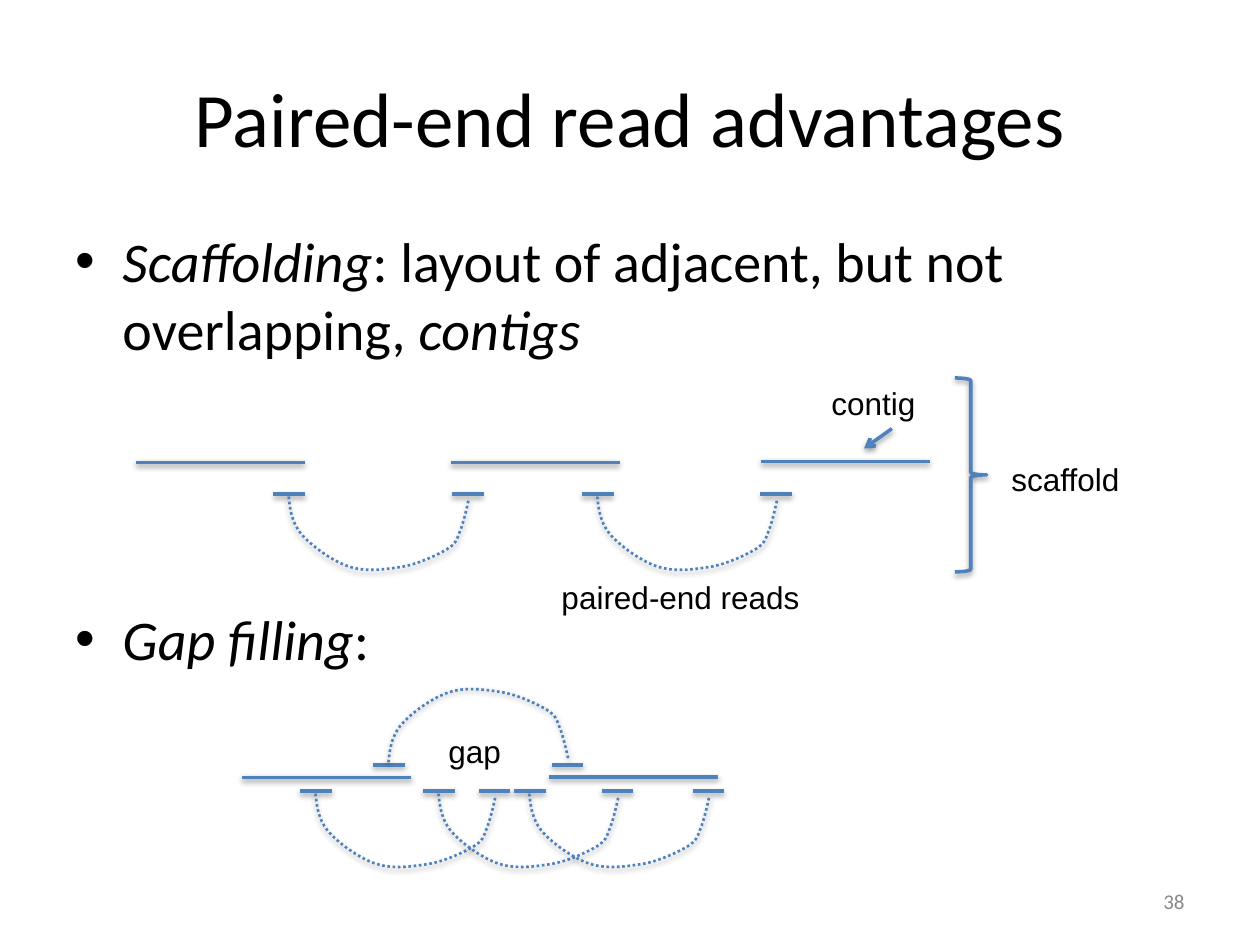
from lxml import etree
from pptx import Presentation, util as u
from pptx.dml.color import RGBColor
from pptx.enum import dml, shapes, text
from pptx.oxml import parse_xml
from pptx.oxml.ns import nsdecls, qn

BLUE = RGBColor(0x4F, 0x81, 0xBD)
BLACK = RGBColor(0, 0, 0)
GRAY = RGBColor(0x89, 0x89, 0x89)

SHADE = f"""<a:effectLst {nsdecls('a')}>
<a:outerShdw blurRad="40000" dist="20000" dir="5400000" rotWithShape="0">
<a:srgbClr val="000000"><a:alpha val="38000"/></a:srgbClr>
</a:outerShdw></a:effectLst>"""

CONTIGS = [(2.74, 9.32), (9.09, 9.32), (15.34, 9.3), (4.88, 15.67), (11.07, 15.66)]
PAIRS = [(5.51, 9.96), (11.73, 9.96), (6.05, 15.95), (8.53, 15.95), (10.36, 15.95)]
CURVE = [(0, 0), (0.03, 0.25), (0.05, 0.5), (0.25, 0.75), (0.46, 1),
         (0.91, 1.32), (1.24, 1.42), (1.57, 1.52), (1.93, 1.47), (2.26, 1.42),
         (2.59, 1.37), (2.97, 1.19), (3.18, 1.07), (3.38, 0.94), (3.38, 0.89),
         (3.45, 0.71), (3.53, 0.53), (3.63, 0.05), (3.63, 0.05)]
LABELS = [("contig", 16.51, 7.62, 2.24), ("paired-end reads", 11.07, 11.53, 5.36),
          ("scaffold", 20.14, 9.14, 2.72), ("gap", 8.79, 14.63, 1.57)]


def apply(obj, **form):
    for key, val in form.items():
        setattr(obj, key, val)


def ink(shape, width=2, **form):
    shape.line.color.rgb = BLUE
    apply(shape.line, width=u.Pt(width), **form)
    shape._element.spPr.append(parse_xml(SHADE))


def line(slide, x1, y1, x2, y2):
    ends = map(u.Cm, (x1, y1, x2, y2))
    link = slide.shapes.add_connector(shapes.MSO_CONNECTOR.STRAIGHT, *ends)
    ink(link)
    return link


def arrow(slide, *ends):
    edge = line(slide, *ends).line._get_or_add_ln()
    etree.SubElement(edge, qn("a:tailEnd"), type="arrow")


def arc(slide, x, y, sign):
    dots = [(u.Cm(x + dx), u.Cm(y + sign * dy)) for dx, dy in CURVE]
    pen = slide.shapes.build_freeform(*dots[0])
    pen.add_line_segments(dots[1:], close=False)
    bend = pen.convert_to_shape()
    bend.fill.background()
    track = bend._element.find(".//" + qn("a:path"))
    steps = track.findall(qn("a:lnTo"))
    for trio in zip(steps[::3], steps[1::3], steps[2::3]):
        cubic = etree.SubElement(track, qn("a:cubicBezTo"))
        for step in trio:
            cubic.append(step[0])
            track.remove(step)
    ink(bend, 1.5, dash_style=dml.MSO_LINE.ROUND_DOT)


def pair(slide, x, y, sign=1):
    for left in (x, x + 3.6):
        line(slide, left, y, left + 0.64, y)
    arc(slide, x + 0.31, y + 0.05 * sign, sign)


def brace(slide, *box):
    kind = shapes.MSO_SHAPE.RIGHT_BRACE
    mark = slide.shapes.add_shape(kind, *map(u.Cm, box))
    mark.fill.background()
    ink(mark)


def frame(slide, *box, **form):
    area = slide.shapes.add_textbox(*map(u.Cm, box)).text_frame
    apply(area, **{"word_wrap": True, **form})
    return area


def write(para, words, size, name="Calibri", tint=BLACK, **form):
    run = para.add_run()
    run.text = words
    apply(run.font, size=u.Pt(size), name=name, **form)
    run.font.color.rgb = tint


def bullet(para, parts, gap=0):
    para.space_before = u.Pt(gap)
    props = para._p.get_or_add_pPr()
    props.set("marL", str(u.Cm(0.95)))
    props.set("indent", str(u.Cm(-0.95)))
    etree.SubElement(props, qn("a:buFont"), typeface="Arial")
    etree.SubElement(props, qn("a:buChar"), char="•")
    for words, slant in parts:
        write(para, words, 32, italic=slant)


def prose(slide):
    mid = text.MSO_ANCHOR.MIDDLE
    title = frame(slide, 1.27, 0.76, 22.86, 3.18, vertical_anchor=mid).paragraphs[0]
    title.alignment = text.PP_ALIGN.CENTER
    write(title, "Paired-end read advantages", 44)
    body = frame(slide, 1.27, 4.45, 22.86, 12.57)
    bullet(body.paragraphs[0], [("Scaffolding", True),
                                (": layout of adjacent, but not overlapping, ", False),
                                ("contigs", True)])
    bullet(body.add_paragraph(), [("Gap filling", True), (":", False)], 139)
    page = frame(slide, 18.21, 17.65, 5.92, 1.02, vertical_anchor=mid).paragraphs[0]
    page.alignment = text.PP_ALIGN.RIGHT
    write(page, "38", 12, tint=GRAY)


def main():
    deck = Presentation()
    apply(deck, slide_width=u.Cm(25.4), slide_height=u.Cm(19.05))
    slide = deck.slides.add_slide(deck.slide_layouts[6])
    prose(slide)
    for x, y in CONTIGS:
        line(slide, x, y, x + 3.4, y)
    for x, y in PAIRS:
        pair(slide, x, y)
    pair(slide, 7.52, 15.42, -1)
    arrow(slide, 17.98, 8.64, 17.42, 9.04)
    brace(slide, 19.25, 7.62, 0.64, 3.91)
    for words, x, y, width in LABELS:
        area = frame(slide, x, y, width, 1.02, word_wrap=False)
        write(area.paragraphs[0], words, 18, "Arial")
    deck.save("out.pptx")


if __name__ == "__main__":
    main()
